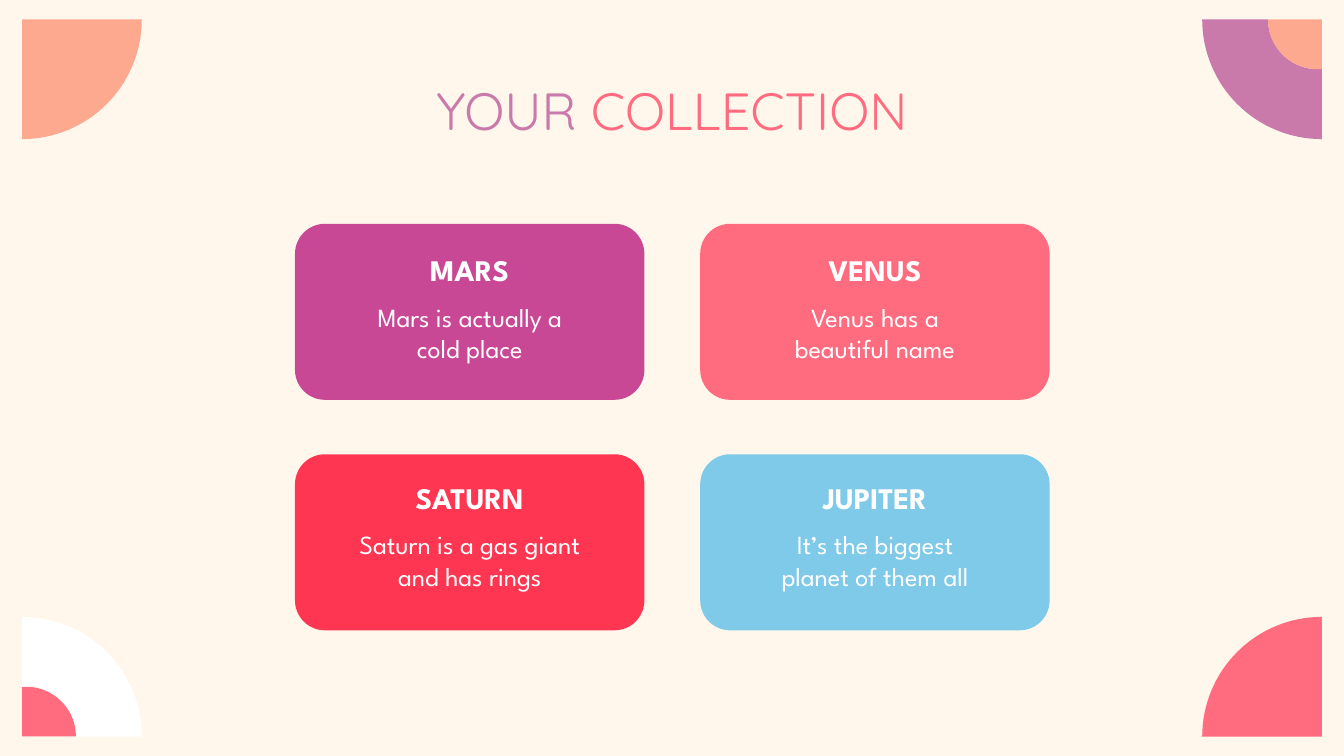
import math

from pptx import Presentation
from pptx import util as u
from pptx.dml import color
from pptx.enum import shapes, text

SCALE = 9144
WIDTH, HEIGHT = 2000, 1125
MARGIN_X, MARGIN_Y = 33, 29
RADIUS, INNER_RADIUS, INNER_INSET = 178, 74, 6
CARD_WIDTH, CARD_HEIGHT = 520, 262
CARD_LEFT, CARD_TOP = 439, 333
CARD_STEP_X, CARD_STEP_Y = 603, 343

CARDS = [
    ("MARS", "Mars is actually a cold place", "C94896", 361, 22, 95),
    ("VENUS", "Venus has a beautiful name", "FF6B7F", 361, 22, 95),
    ("SATURN", "Saturn is a gas giant and has rings", "FF3651", 414, 18, 91),
    ("JUPITER", "It’s the biggest planet of them all", "80CAE9", 376, 18, 91),
]


def px(value):
    return u.Emu(round(value * SCALE))


def rgb(value):
    return color.RGBColor.from_string(value)


def paint(shape, fill):
    shape.shadow.inherit = False
    shape.fill.solid()
    shape.fill.fore_color.rgb = rgb(fill)
    shape.line.fill.background()


def add_text(slide, box, runs, size, font, bold=False):
    frame = slide.shapes.add_textbox(*map(px, box)).text_frame
    frame.word_wrap = True
    frame.vertical_anchor = text.MSO_ANCHOR.TOP
    frame.margin_left = frame.margin_right = px(20)
    frame.margin_top = frame.margin_bottom = px(20)
    paragraph = frame.paragraphs[0]
    paragraph.alignment = text.PP_ALIGN.CENTER
    paragraph.font.size = u.Pt(size)
    paragraph.font.name = font
    paragraph.font.bold = bold
    for words, ink in runs:
        run = paragraph.add_run()
        run.text = words
        run.font.color.rgb = rgb(ink)


def arc(corner, radius, inset=0):
    x, y, way_x, way_y = corner
    points = []
    for step in range(33):
        angle = math.radians(90 * step / 32)
        points.append((x + way_x * (inset + radius * math.cos(angle)),
                       y + way_y * radius * math.sin(angle)))
    return points + [(x, y + way_y * radius)]


def add_outline(slide, points, fill):
    scaled = [(px(x), px(y)) for x, y in points]
    builder = slide.shapes.build_freeform(*scaled[0], scale=1.0)
    builder.add_line_segments(scaled[1:], close=True)
    paint(builder.convert_to_shape(), fill)


def add_quarter(slide, corner, fill):
    add_outline(slide, arc(corner, RADIUS) + [corner[:2]], fill)


def add_ringed_quarter(slide, corner, ring_fill, core_fill):
    inner = arc(corner, INNER_RADIUS, INNER_INSET)
    add_outline(slide, arc(corner, RADIUS) + inner[::-1], ring_fill)
    add_outline(slide, inner + [corner[:2]], core_fill)


def add_corners(slide, box):
    left, top, width, height = box
    right, bottom = left + width, top + height
    add_ringed_quarter(slide, (right, top, -1, 1), "C979AA", "FDA990")
    add_ringed_quarter(slide, (left, bottom, 1, -1), "FFFFFF", "FF6B7F")
    add_quarter(slide, (left, top, 1, 1), "FDA990")
    add_quarter(slide, (right, bottom, -1, -1), "FF6B7F")


def add_card(slide, box, name, fact, fill, fact_width, name_top, fact_top):
    left, top, width, height = box
    card = slide.shapes.add_shape(
        shapes.MSO_SHAPE.ROUNDED_RECTANGLE, *map(px, box))
    card.adjustments[0] = 0.17
    paint(card, fill)
    name_box = (left + (width - 279) / 2, top + name_top, 279, 94)
    fact_box = (left + (width - fact_width) / 2, top + fact_top, fact_width, 133)
    add_text(slide, name_box, [(name, "FFFFFF")], 32, "League Spartan", True)
    add_text(slide, fact_box, [(fact, "FFFFFF")], 28, "League Spartan")


def main():
    presentation = Presentation()
    presentation.slide_width, presentation.slide_height = px(WIDTH), px(HEIGHT)
    slide = presentation.slides.add_slide(presentation.slide_layouts[6])
    slide.background.fill.solid()
    slide.background.fill.fore_color.rgb = rgb("FFF7EC")
    add_corners(slide, (MARGIN_X, MARGIN_Y,
                        WIDTH - 2 * MARGIN_X, HEIGHT - 2 * MARGIN_Y))
    for index, card in enumerate(CARDS):
        row, column = divmod(index, 2)
        box = (CARD_LEFT + column * CARD_STEP_X, CARD_TOP + row * CARD_STEP_Y,
               CARD_WIDTH, CARD_HEIGHT)
        add_card(slide, box, *card)
    add_text(slide, (68, 97, 1864, 125),
             [("YOUR ", "C979AA"), ("COLLECTION", "FF6B7F")], 56, "Quicksand")
    presentation.save("out.pptx")


if __name__ == "__main__":
    main()
